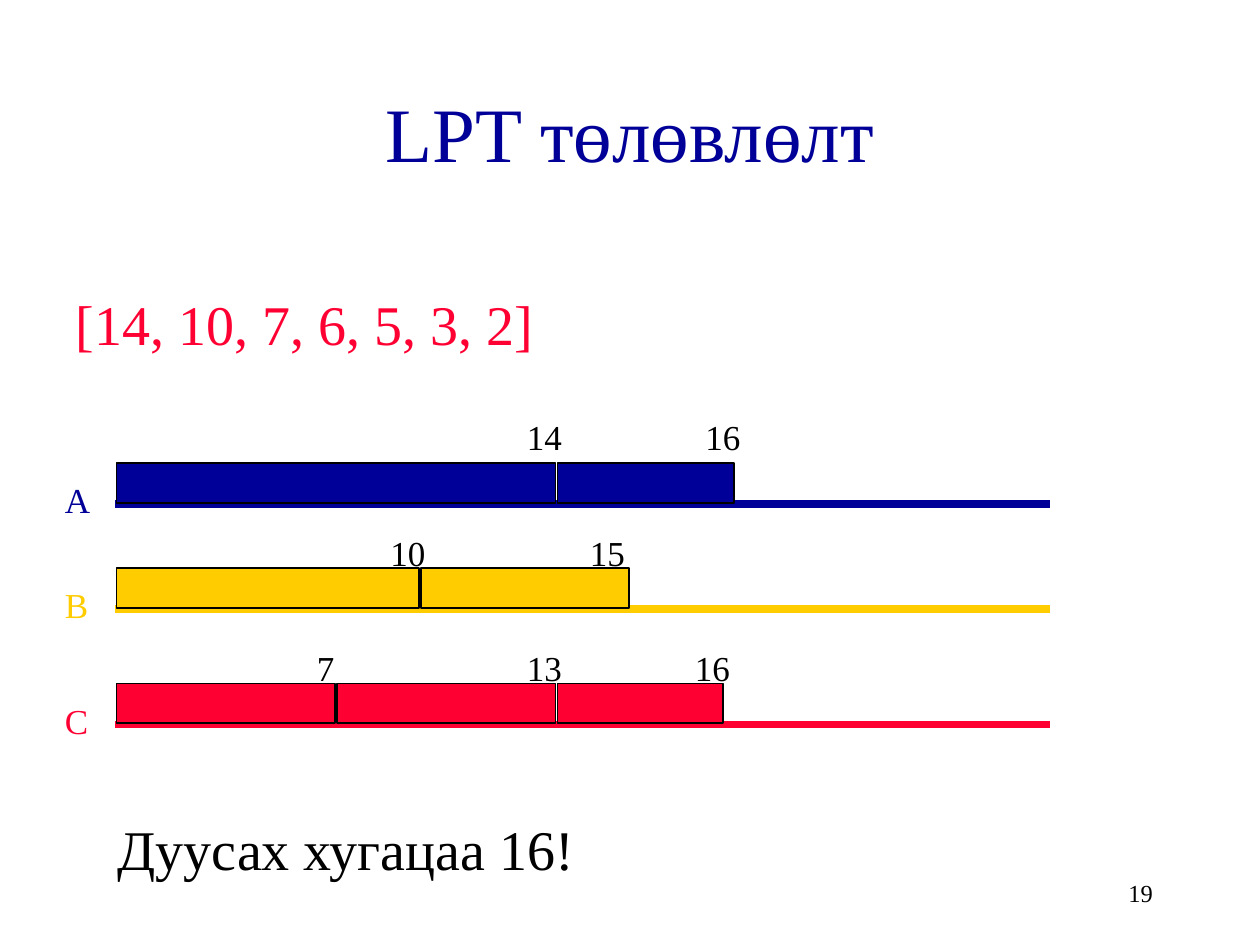
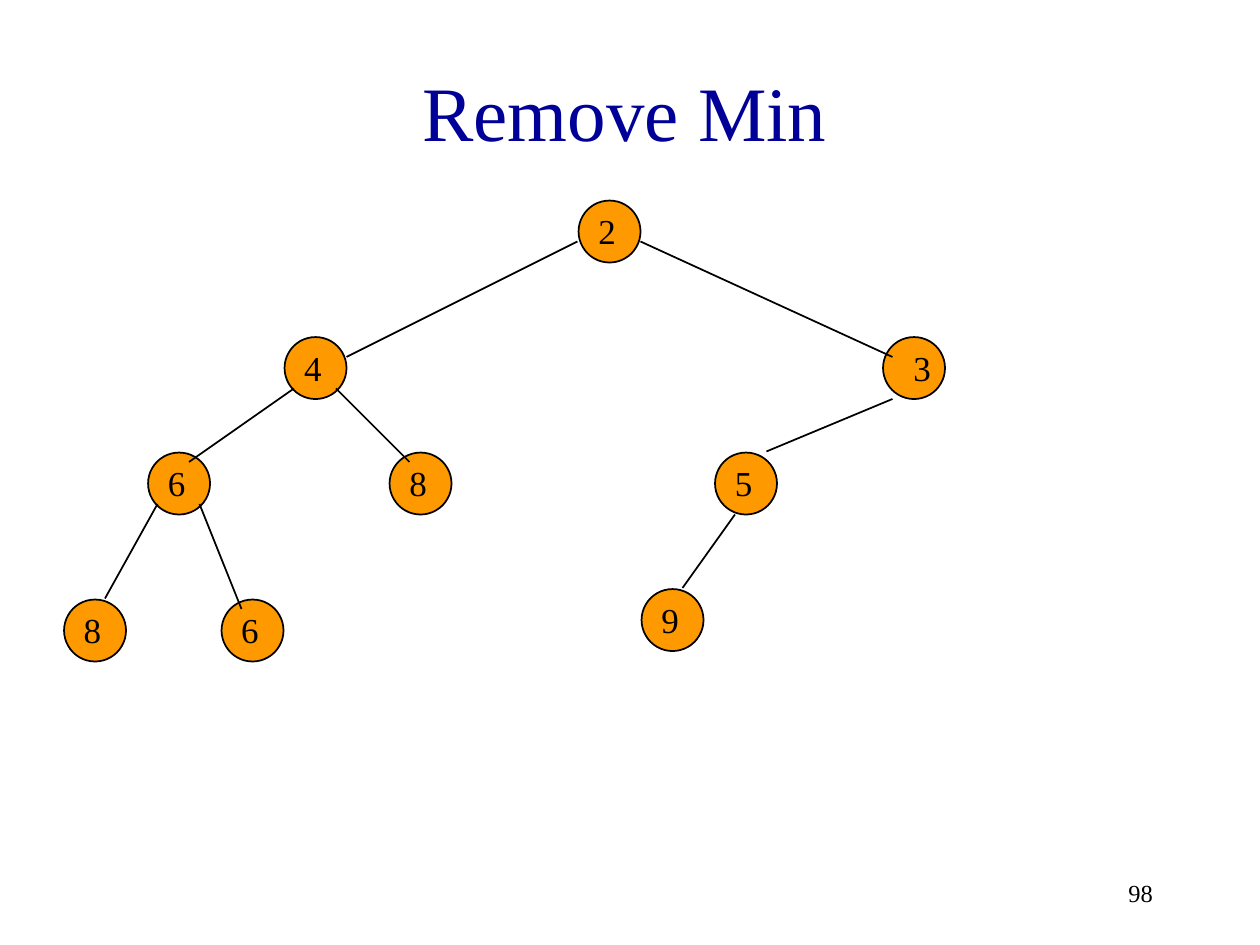
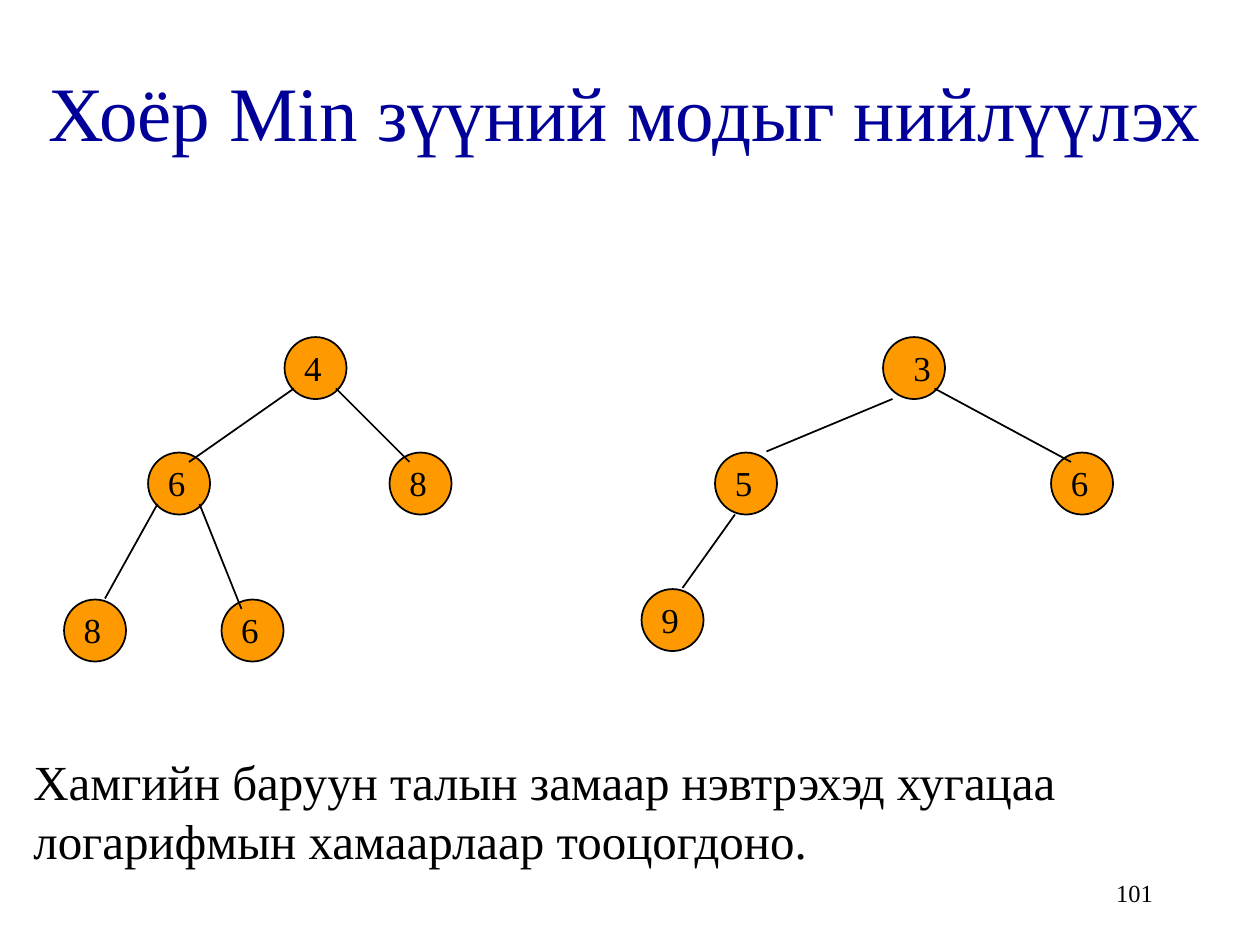
"""Build three slides on LPT scheduling and leftist trees."""
from dataclasses import dataclass

from lxml import etree
from pptx import Presentation
from pptx.dml.color import RGBColor
from pptx.enum.shapes import MSO_CONNECTOR, MSO_SHAPE
from pptx.enum.text import MSO_ANCHOR, PP_ALIGN
from pptx.oxml.ns import qn
from pptx.util import Cm, Pt

LEFT, CENTER, RIGHT = PP_ALIGN.LEFT, PP_ALIGN.CENTER, PP_ALIGN.RIGHT
TOP, MIDDLE = MSO_ANCHOR.TOP, MSO_ANCHOR.MIDDLE
RECTANGLE, OVAL = MSO_SHAPE.RECTANGLE, MSO_SHAPE.OVAL
STRAIGHT = MSO_CONNECTOR.STRAIGHT
BLANK_LAYOUT = 6


@dataclass(frozen=True)
class Theme:
    """Colours, type sizes and line widths of the deck."""

    font: str = "Times New Roman"
    ink: str = "000000"
    navy: str = "000099"
    gold: str = "FFCC00"
    red: str = "FF0033"
    orange: str = "FF9900"
    title: int = 44
    statement: int = 32
    remark: int = 28
    label: int = 20
    number: int = 14
    thin: float = 1
    axis: float = 4.5
    spacing: float = 0.625


THEME = Theme()
GRID_CM = 2.54 / 12
SLIDE_GRID = (120, 90)
WIDE_TITLE = (1, 3, 117, 15)
PAGE_NUMBER = (86, 82, 25, 6)
BAR_GAP = 0.1
AXIS_START, AXIS_END = 11, 100
BAR_HEIGHT = 4
NODE_SIZE = 5.9
NODE_INSET = 0.1

MACHINES = [
    ("A", THEME.navy, 48, 39, [("14", 53, 49), ("16", 70, 66)]),
    ("B", THEME.gold, 58, 50, [("10", 40, 36), ("15", 60, 55)]),
    ("C", THEME.red, 69, 61, [("7", 32, 29), ("13", 53, 49), ("16", 69, 65)]),
]

SUBTREE_NODES = [
    ("4", 27, 32, 0.8), ("3", 84, 32, 1.8), ("6", 14, 43, 0.8),
    ("8", 37, 43, 0.8), ("5", 68, 43, 0.8), ("8", 6, 57, 0.8),
    ("6", 21, 57, 0.8), ("9", 61, 56, 0.8),
]
SUBTREE_EDGES = [
    (28, 37, 18, 44), (32, 37, 39, 44), (85, 38, 73, 43),
    (15, 48, 10, 57), (19, 48, 23, 58), (70, 49, 65, 56),
]
ROOT_NODES = [("2", 55, 19, 0.8)]
ROOT_EDGES = [(55, 23, 33, 34), (61, 23, 85, 34)]
MERGED_NODES = [("6", 100, 43, 0.8)]
MERGED_EDGES = [(89, 37, 102, 44)]


def grid(*steps):
    """Turn grid steps into lengths."""
    return [Cm(step * GRID_CM) for step in steps]


def apply_format(target, values):
    """Set each attribute named in values on the target."""
    for name, value in values.items():
        setattr(target, name, value)


def add_text(page, text, area, size, color=THEME.ink, align=LEFT,
             anchor=TOP, before=0, wrap=True):
    """Add a text box with one paragraph."""
    box = page.shapes.add_textbox(*grid(*area))
    apply_format(box.text_frame, {"word_wrap": wrap, "vertical_anchor": anchor})
    para = box.text_frame.paragraphs[0]
    apply_format(para, {"alignment": align, "space_before": Pt(before)})
    span = para.add_run()
    span.text = text
    apply_format(span.font, {"name": THEME.font, "size": Pt(size)})
    span.font.color.rgb = RGBColor.from_string(color)


def add_spaced_text(page, text, area, size, color=THEME.ink):
    """Add text with spacing in proportion to its size."""
    add_text(page, text, area, size, color, before=size * THEME.spacing)


def add_filled(page, kind, area, color):
    """Add a filled shape with a thin dark outline."""
    shape = page.shapes.add_shape(kind, *grid(*area))
    shape.shadow.inherit = False
    shape.fill.solid()
    shape.fill.fore_color.rgb = RGBColor.from_string(color)
    shape.line.color.rgb = RGBColor.from_string(THEME.ink)
    shape.line.width = Pt(THEME.thin)


def add_line(page, ends, color=THEME.ink, width=THEME.thin):
    """Add a straight line without a shadow."""
    line = page.shapes.add_connector(STRAIGHT, *grid(*ends))
    line.line.color.rgb = RGBColor.from_string(color)
    line.line.width = Pt(width)
    etree.SubElement(line._element.spPr, qn("a:effectLst"))


def add_page(deck, title, number, title_area=WIDE_TITLE):
    """Add a page with its title and page number."""
    page = deck.slides.add_slide(deck.slide_layouts[BLANK_LAYOUT])
    add_text(page, title, title_area, THEME.title, THEME.navy, CENTER, MIDDLE)
    add_text(page, number, PAGE_NUMBER, THEME.number, align=RIGHT,
             anchor=MIDDLE, wrap=False)
    return page


def add_machine(page, name, color, axis, label_top, jobs):
    """Draw one machine's time axis with its jobs and finish times."""
    add_line(page, (AXIS_START, axis, AXIS_END, axis), color, THEME.axis)
    add_spaced_text(page, name, (5, axis - 3, 5, 5.1), THEME.label, color)
    start = AXIS_START
    for finish, end, label_left in jobs:
        bar = (start + BAR_GAP, axis - BAR_HEIGHT + BAR_GAP,
               end - start - 2 * BAR_GAP, BAR_HEIGHT - 2 * BAR_GAP)
        add_filled(page, RECTANGLE, bar, color)
        add_spaced_text(page, finish, (label_left, label_top, 7, 5.1), THEME.label)
        start = end


def add_tree(page, nodes, edges):
    """Draw the nodes, the edges over them and the keys on top."""
    for _, left, top, _ in nodes:
        area = (left + NODE_INSET, top + NODE_INSET, NODE_SIZE, NODE_SIZE)
        add_filled(page, OVAL, area, THEME.orange)
    for ends in edges:
        add_line(page, ends)
    for key, left, top, shift in nodes:
        add_text(page, key, (left + shift, top + 0.4, 4.1, 5.1), THEME.label,
                 wrap=False)


def main():
    """Build and save the deck."""
    deck = Presentation()
    deck.slide_width, deck.slide_height = grid(*SLIDE_GRID)

    schedule = add_page(deck, "LPT төлөвлөлт", "19", (9, 5, 102, 15))
    add_text(schedule, "[14, 10, 7, 6, 5, 3, 2]", (6, 27, 97, 45),
             THEME.statement, THEME.red, before=8)
    for machine in MACHINES:
        add_machine(schedule, *machine)
    add_spaced_text(schedule, "Дуусах хугацаа 16!", (10, 77, 83, 7.7),
                    THEME.statement)

    removal = add_page(deck, "Remove Min", "98")
    add_tree(removal, ROOT_NODES + SUBTREE_NODES, ROOT_EDGES + SUBTREE_EDGES)

    merge = add_page(deck, "Хоёр Min зүүний модыг нийлүүлэх", "101")
    add_tree(merge, SUBTREE_NODES + MERGED_NODES, SUBTREE_EDGES + MERGED_EDGES)
    add_spaced_text(
        merge,
        "Хамгийн баруун талын замаар нэвтрэхэд хугацаа "
        "логарифмын хамаарлаар тооцогдоно.",
        (2, 71, 105, 12.5), THEME.remark)

    deck.save("out.pptx")


if __name__ == "__main__":
    main()
